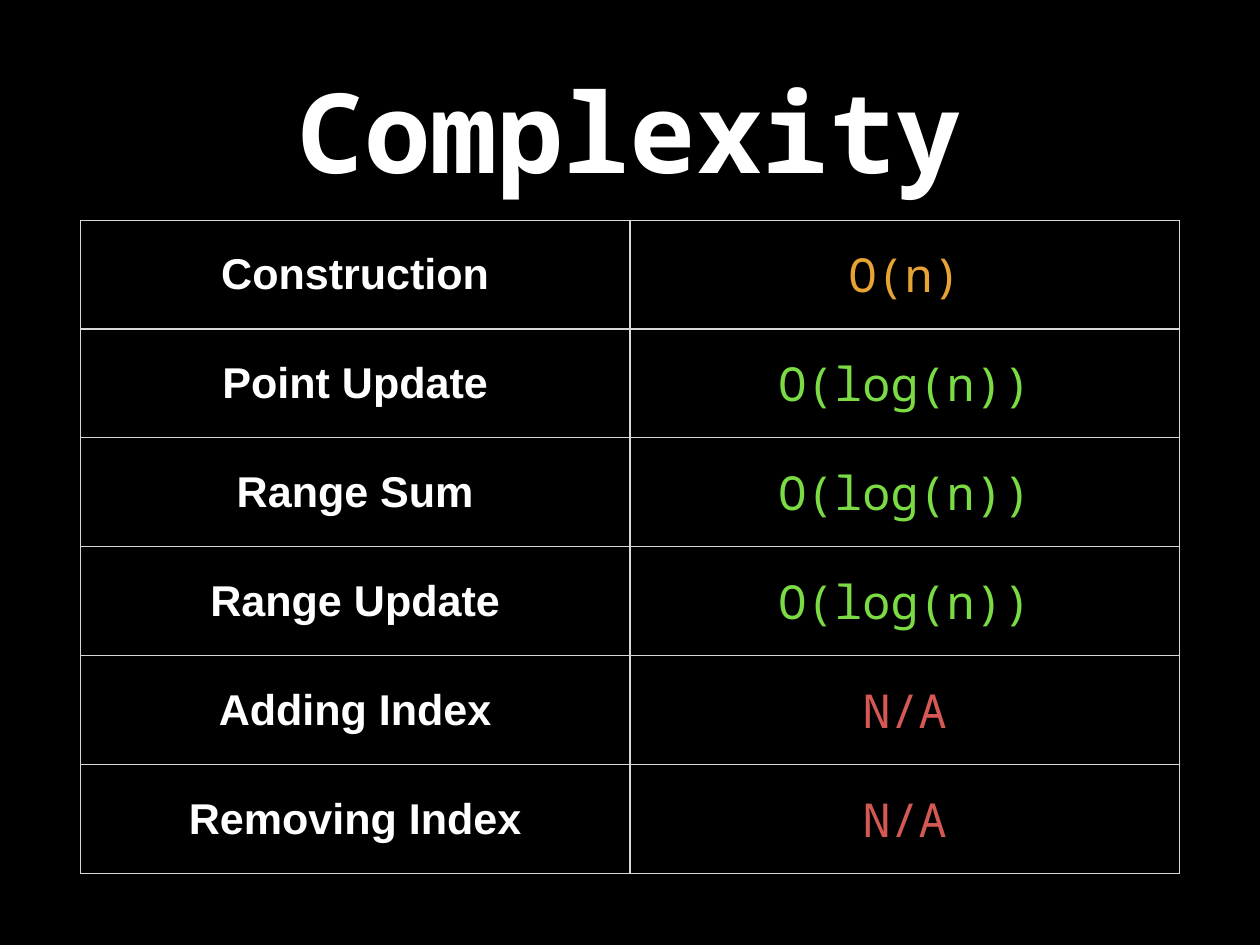
from dataclasses import dataclass

from lxml import etree
from pptx import Presentation
from pptx.dml.color import RGBColor
from pptx.enum.text import MSO_ANCHOR, PP_ALIGN
from pptx.oxml.ns import qn
from pptx.util import Inches, Pt

CENTER = PP_ALIGN.CENTER
MIDDLE = MSO_ANCHOR.MIDDLE
BLANK_LAYOUT = 6

SLIDE_WIDTH, SLIDE_HEIGHT = 14.22, 10.67
# Grid units in inches: one table column and one table row.
COLUMN, ROW = 6.2, 1.23


@dataclass(frozen=True)
class Theme:
    background: str = "000000"
    text: str = "FFFFFF"
    border: str = "D6D7D6"
    linear: str = "E8A432"
    logarithmic: str = "7BDB45"
    unavailable: str = "D45854"
    label_font: str = "Arial"
    code_font: str = "Noto Sans Mono"
    title_size: int = 90
    label_size: int = 35
    value_size: int = 38
    border_width: int = 1
    inset: float = 0.06


THEME = Theme()

COMPLEXITIES = [
    ("Construction", "O(n)", THEME.linear),
    ("Point Update", "O(log(n))", THEME.logarithmic),
    ("Range Sum", "O(log(n))", THEME.logarithmic),
    ("Range Update", "O(log(n))", THEME.logarithmic),
    ("Adding Index", "N/A", THEME.unavailable),
    ("Removing Index", "N/A", THEME.unavailable),
]


def columns(count):
    return Inches(count * COLUMN)


def rows(count):
    return Inches(count * ROW)


def centered_left(width):
    return (Inches(SLIDE_WIDTH) - width) // 2


def write_text(holder, text, *, font, size, color, bold):
    """Fill a text frame or a table cell with one centred paragraph."""
    holder.margin_left = holder.margin_right = Inches(THEME.inset)
    holder.margin_top = holder.margin_bottom = Inches(THEME.inset)
    holder.vertical_anchor = MIDDLE
    frame = getattr(holder, "text_frame", holder)
    frame.word_wrap = True
    para = frame.paragraphs[0]
    para.alignment = CENTER
    span = para.add_run()
    span.text = text
    span.font.name = font
    span.font.size = Pt(size)
    span.font.bold = bold
    span.font.color.rgb = RGBColor.from_string(color)


def style_cell(cell):
    """Outline all four sides, then fill; the schema wants lines first."""
    properties = cell._tc.get_or_add_tcPr()
    for side in ("lnL", "lnR", "lnT", "lnB"):
        line = etree.SubElement(properties, qn(f"a:{side}"),
                                w=str(Pt(THEME.border_width)))
        fill = etree.SubElement(line, qn("a:solidFill"))
        etree.SubElement(fill, qn("a:srgbClr"), val=THEME.border)
    cell.fill.solid()
    cell.fill.fore_color.rgb = RGBColor.from_string(THEME.background)


def add_title(page, text):
    width = columns(1.96)
    box = page.shapes.add_textbox(centered_left(width), rows(0.23),
                                  width, rows(1.92))
    write_text(box.text_frame, text, font=THEME.code_font,
               size=THEME.title_size, color=THEME.text, bold=True)


def add_complexity_table(page, entries):
    width = columns(2)
    table = page.shapes.add_table(len(entries), 2, centered_left(width),
                                  rows(2.02), width, rows(len(entries))).table
    table.first_row = table.horz_banding = False
    for index, (operation, cost, color) in enumerate(entries):
        label, value = table.cell(index, 0), table.cell(index, 1)
        write_text(label, operation, font=THEME.label_font,
                   size=THEME.label_size, color=THEME.text, bold=True)
        write_text(value, cost, font=THEME.code_font,
                   size=THEME.value_size, color=color, bold=False)
        style_cell(label)
        style_cell(value)


def main():
    deck = Presentation()
    deck.slide_width = Inches(SLIDE_WIDTH)
    deck.slide_height = Inches(SLIDE_HEIGHT)
    page = deck.slides.add_slide(deck.slide_layouts[BLANK_LAYOUT])
    page.background.fill.solid()
    page.background.fill.fore_color.rgb = RGBColor.from_string(THEME.background)
    add_title(page, "Complexity")
    add_complexity_table(page, COMPLEXITIES)
    deck.save("out.pptx")


if __name__ == "__main__":
    main()
